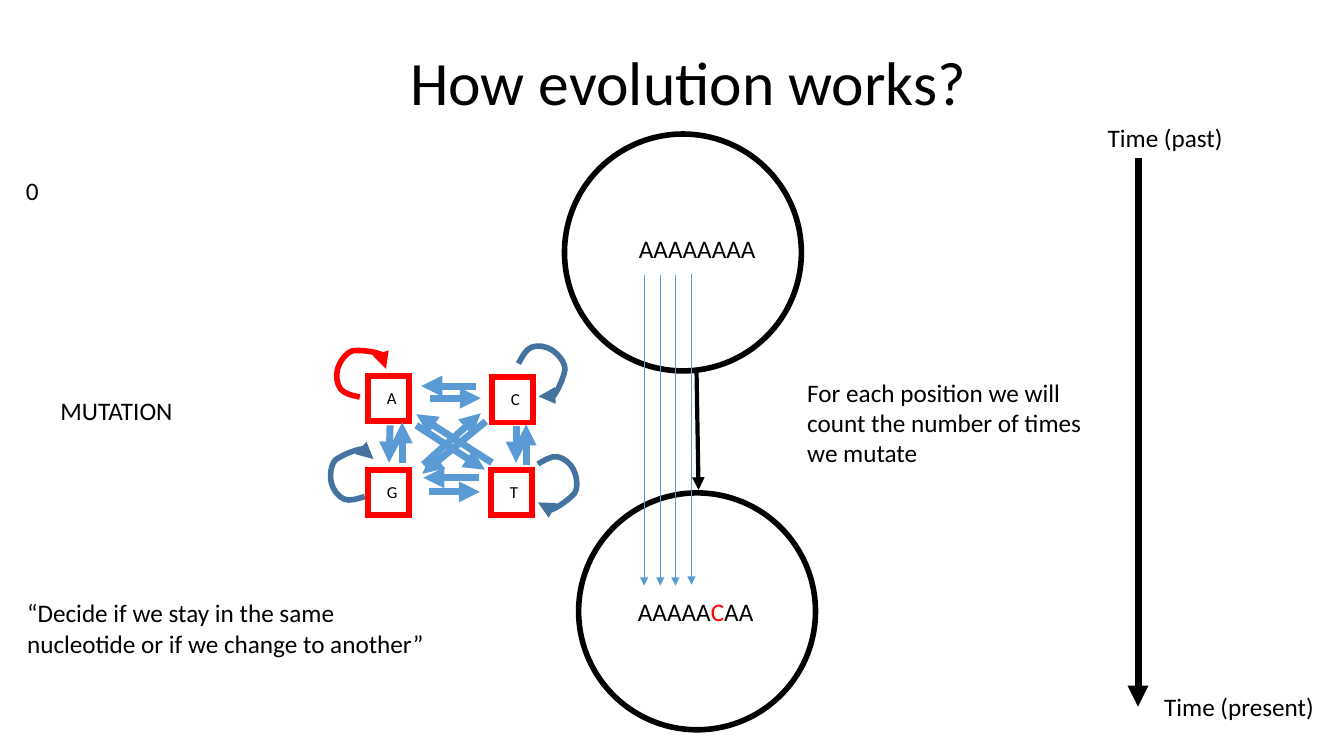
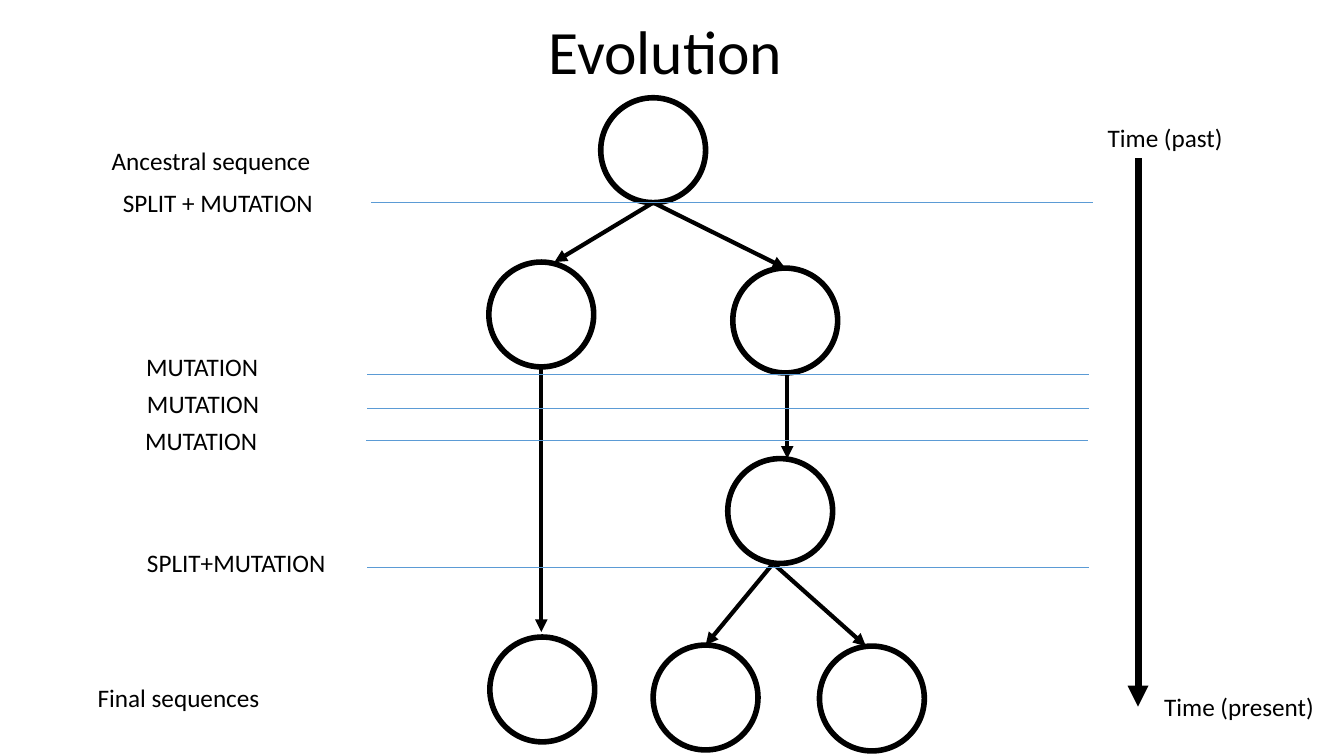
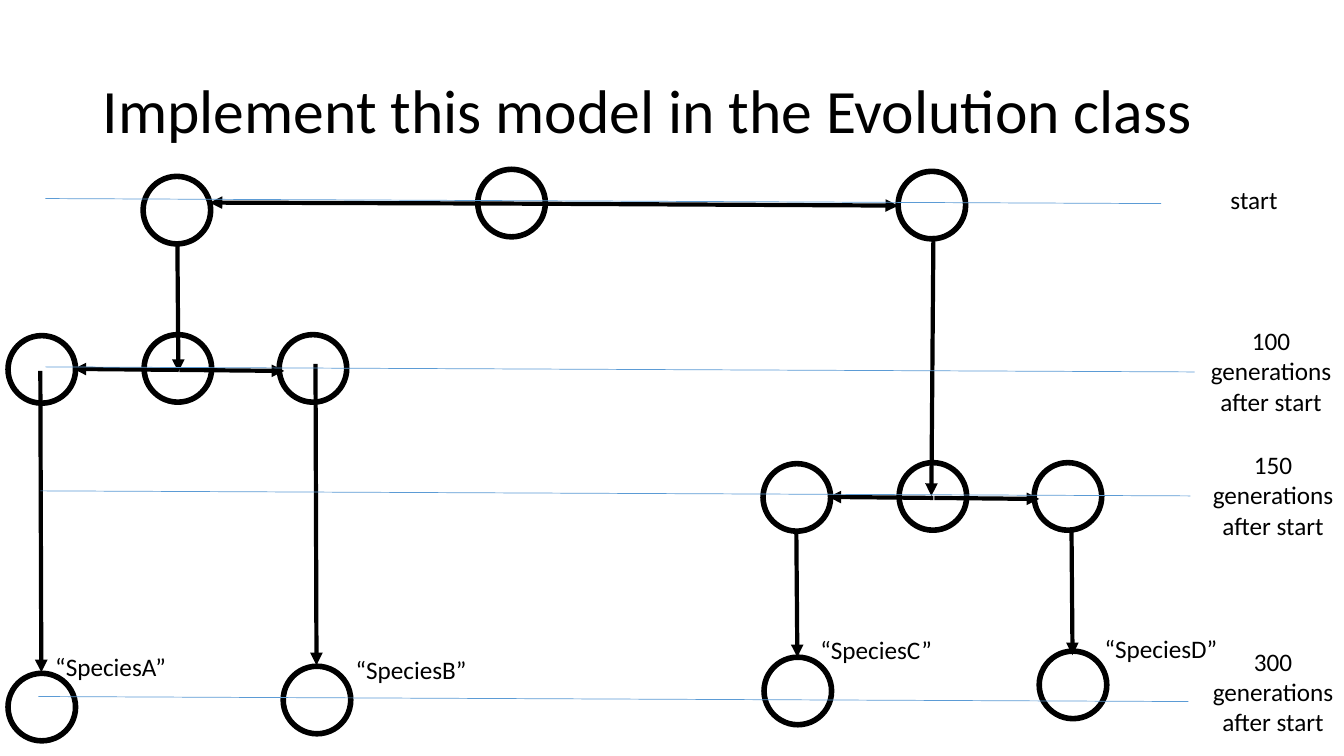
"""Three slides on simulating sequence evolution."""
from pptx import Presentation, util as u
from pptx.dml.color import RGBColor
from pptx.enum import shapes, text
from pptx.oxml.ns import qn
from lxml import etree

PX = 9144
BLACK, RED, BLUE, NAVY = "000000", "FF0000", "5B9BD5", "43739E"
FACE = "Calibri"
LOOP = [(24, 47), (16, 45), (9, 44), (5, 39), (1, 34), (0, 25), (2, 19),
        (4, 12), (10, 3), (17, 1), (25, 0), (40, 2), (46, 5), (51, 8),
        (51, 13), (50, 19)]


def paint(font, tone, size):
    """Set face, colour and size of a font."""
    font.name, font.size = FACE, u.Pt(size)
    font.color.rgb = RGBColor.from_string(tone)


def stroke(shape, tone, width, head=False):
    """Give a shape or connector its line, with an arrowhead if asked."""
    shape.line.color.rgb = RGBColor.from_string(tone)
    shape.line.width = u.Pt(width)
    rule = shape._element.spPr.find(qn("a:ln"))
    etree.SubElement(rule, qn("a:miter")).set("lim", "800000")
    if head:
        etree.SubElement(rule, qn("a:tailEnd")).set("type", "triangle")


def bend(shape):
    """Turn each three straight segments of a freeform into one cubic curve."""
    legs = list(shape._element.iter(qn("a:lnTo")))
    for i in range(0, len(legs), 3):
        cubic = etree.Element(qn("a:cubicBezTo"))
        legs[i].addprevious(cubic)
        for leg in legs[i:i + 3]:
            cubic.append(leg[0])
            leg.getparent().remove(leg)


class Pane:
    """A region of a slide whose parts are placed from its corner."""

    def __init__(self, slide, x=0, y=0):
        """Keep the slide and the corner."""
        self.slide, self.x, self.y = slide, x, y

    def spot(self, x, y):
        """Turn a place in the pane into EMU."""
        return (self.x + x) * PX, (self.y + y) * PX

    def sub(self, x, y):
        """Return a pane inside this one."""
        return Pane(self.slide, self.x + x, self.y + y)

    def frame(self, kind, x, y, w, h, tone):
        """Draw an unfilled outline shape."""
        shape = self.slide.shapes.add_shape(kind, *self.spot(x, y), w * PX, h * PX)
        shape.shadow.inherit = False
        shape.fill.background()
        stroke(shape, tone, 4)

    def ring(self, x, y, size):
        """Draw a black circle."""
        self.frame(shapes.MSO_SHAPE.OVAL, x, y, size, size, BLACK)

    def link(self, x, y, x2, y2, tone=BLACK, width=3, head=True):
        """Draw a straight line or arrow."""
        line = self.slide.shapes.add_connector(
            shapes.MSO_CONNECTOR.STRAIGHT, *self.spot(x, y), *self.spot(x2, y2))
        stroke(line, tone, width, head)
        etree.SubElement(line._element.spPr, qn("a:effectLst"))

    def note(self, words, x, y, w, h=40, size=18, wrap=False, mid=False):
        """Write a text box from a string or (string, colour) parts."""
        box = self.slide.shapes.add_textbox(*self.spot(x, y), w * PX, h * PX)
        body = box.text_frame
        body.word_wrap = wrap
        body.auto_size = text.MSO_AUTO_SIZE.SHAPE_TO_FIT_TEXT
        para = body.paragraphs[0]
        para.alignment = text.PP_ALIGN.CENTER if mid else text.PP_ALIGN.LEFT
        for part, tone in [(words, BLACK)] if isinstance(words, str) else words:
            run = para.add_run()
            run.text = part
            paint(run.font, tone, size)

    def loop(self, x, y, turn, tone):
        """Draw a curved arrow turned about its centre."""
        dots = [self.spot(x + a, y + b) for a, b in LOOP]
        pen = self.slide.shapes.build_freeform(*dots[0], scale=1.0)
        pen.add_line_segments(dots[1:], close=False)
        shape = pen.convert_to_shape()
        bend(shape)
        shape.shadow.inherit = False
        shape.fill.background()
        stroke(shape, tone, 4, True)
        shape.rotation = turn


def start(deck, words, x, y, w):
    """Add a slide with its title and return its pane."""
    slide = deck.slides.add_slide(deck.slide_layouts[5])
    title = slide.shapes.title
    title.left, title.top, title.width, title.height = (
        v * PX for v in (x, y, w, 145))
    body = title.text_frame
    body.text = words
    body.word_wrap = True
    body.auto_size = text.MSO_AUTO_SIZE.NONE
    body.vertical_anchor = text.MSO_ANCHOR.MIDDLE
    para = body.paragraphs[0]
    para.alignment, para.line_spacing = text.PP_ALIGN.LEFT, 0.9
    paint(para.runs[0].font, BLACK, 44)
    return Pane(slide)


def clock(pane):
    """Draw the arrow from past to present."""
    pane.link(40, 41, 40, 585, width=5)
    pane.note("Time (past)", 0, 0, 136)
    pane.note("Time (present)", 56, 565, 171)


def bases(pane):
    """Draw the four nucleotides and the changes among them."""
    for name, x, y in (("A", 38, 29), ("C", 161, 30), ("G", 38, 122), ("T", 160, 122)):
        pane.frame(shapes.MSO_SHAPE.RECTANGLE, x, y, 41, 45, RED)
        pane.note(name, x + 9, y + 7, 31, 30, 12)
    for ends in ((100, 51, 150, 51), (145, 39, 91, 39),
                 (99, 144, 149, 144), (148, 130, 93, 130),
                 (60, 78, 59, 115), (72, 115, 72, 75),
                 (185, 79, 185, 115), (195, 117, 195, 77),
                 (86, 78, 154, 122), (161, 115, 86, 67),
                 (93, 117, 150, 66), (155, 74, 92, 126)):
        pane.link(*ends, BLUE, 5)
    for x, y, turn, tone in ((6, 3, 0, RED), (-1, 104, 330.3, NAVY),
                             (184, 1, 105.7, NAVY), (196, 111, 137.1, NAVY)):
        pane.loop(x, y, turn, tone)


def copying(pane):
    """Draw a sequence passing to its mutated descendant."""
    pane.ring(0, 0, 235)
    pane.link(131, 235, 133, 353)
    pane.ring(14, 356, 235)
    pane.note("AAAAAAAA", 64, 94, 137)
    pane.note([("AAAAA", BLACK), ("C", RED), ("AA", BLACK)], 63, 454, 137)
    for x, y in ((79, 140), (95, 140), (110, 140), (126, 139)):
        pane.link(x, y, x, y + 308, BLUE, 0.5)


def tree(pane):
    """Draw the lineage tree of the second slide."""
    for x, y in ((111, 0), (0, 163), (242, 169), (237, 358),
                 (1, 535), (163, 543), (328, 544)):
        pane.ring(x, y, 104)
    for ends in ((163, 104, 65, 163), (163, 104, 294, 169), (52, 268, 52, 530),
                 (296, 272, 296, 358), (282, 462, 215, 543), (282, 462, 374, 544)):
        pane.link(*ends)


def events(pane):
    """Write the events and rule a line across for each."""
    for words, x, y, w in (("Ancestral sequence", 14, 0, 220),
                           ("SPLIT + MUTATION", 25, 42, 210),
                           ("MUTATION", 48, 205, 132), ("MUTATION", 49, 241, 132),
                           ("MUTATION", 47, 278, 132), ("SPLIT+MUTATION", 49, 399, 199),
                           ("Final sequences", 0, 533, 183)):
        pane.note(words, x, y, w)
    for x, y in ((281, 62), (277, 232), (277, 266), (276, 298), (277, 424)):
        pane.link(x + 716, y, x, y, BLUE, 0.5, False)


def fork(pane):
    """Draw one circle splitting into two beside it."""
    for x, y in ((0, 1), (135, 0), (269, 0)):
        pane.ring(x, y, 67)
    pane.link(169, 35, 65, 34)
    pane.link(170, 35, 274, 36)


def leaf(pane, name, x, y, stem, tall):
    """Draw a final species with its label and the arrow to it."""
    pane.ring(0, 0, 67)
    pane.note(name, x, y, 133)
    pane.link(32, stem, 33, stem + tall)


def model(pane):
    """Draw the branching model of the third slide."""
    for x, y in ((474, 168), (142, 175), (891, 170)):
        pane.ring(x, y, 67)
    for ends in ((506, 202, 208, 201), (506, 202, 891, 204),
                 (176, 243, 177, 369), (926, 234, 924, 492)):
        pane.link(*ends)
    fork(pane.sub(8, 332))
    fork(pane.sub(757, 459))
    for x, y, *rest in ((8, 668, "“SpeciesA”", 37, -27, -300, 299),
                        (281, 661, "“SpeciesB”", 62, -17, -300, 299),
                        (758, 652, "“SpeciesC”", 46, -28, -124, 124),
                        (1031, 646, "“SpeciesD”", 55, -23, -120, 124)):
        leaf(pane.sub(x, y), *rest)


def dates(pane):
    """Rule the generations and label them."""
    later = "{} generations after start"
    for words, x, y, wide, left, top, h in (
            ("start", 45, 197, 1107, 1157, 178, 40),
            (later.format(100), 45, 364, 1140, 1174, 318, 101),
            (later.format(150), 40, 487, 1141, 1176, 441, 101),
            (later.format(300), 38, 691, 1141, 1176, 636, 101)):
        pane.link(x, y, x + wide, y + 5, BLUE, 0.5, False)
        pane.note(words, left, top, 174, h, wrap=True, mid=True)


def main():
    """Build and save the deck."""
    deck = Presentation()
    deck.slide_width, deck.slide_height = u.Inches(13.333), u.Inches(7.5)

    works = start(deck, "How evolution works?", 397, 12, 618)
    copying(works.sub(560, 133))
    clock(works.sub(1089, 116))
    works.note("MUTATION", 50, 387, 132)
    bases(works.sub(327, 344))
    works.note("0", 16, 169, 33)
    works.note("“Decide if we stay in the same nucleotide or if we change to another”",
               17, 588, 435, 71, wrap=True)
    works.note("For each position we will count the number of times we mutate",
               791, 369, 313, 101, wrap=True)

    story = start(deck, "Evolution", 534, -18, 287)
    tree(story.sub(485, 97))
    clock(story.sub(1089, 116))
    events(story.sub(87, 139))

    task = start(deck, "Implement this model in the Evolution class", 92, 40, 1150)
    model(task)
    dates(task)
    deck.save("out.pptx")


if __name__ == "__main__":
    main()
